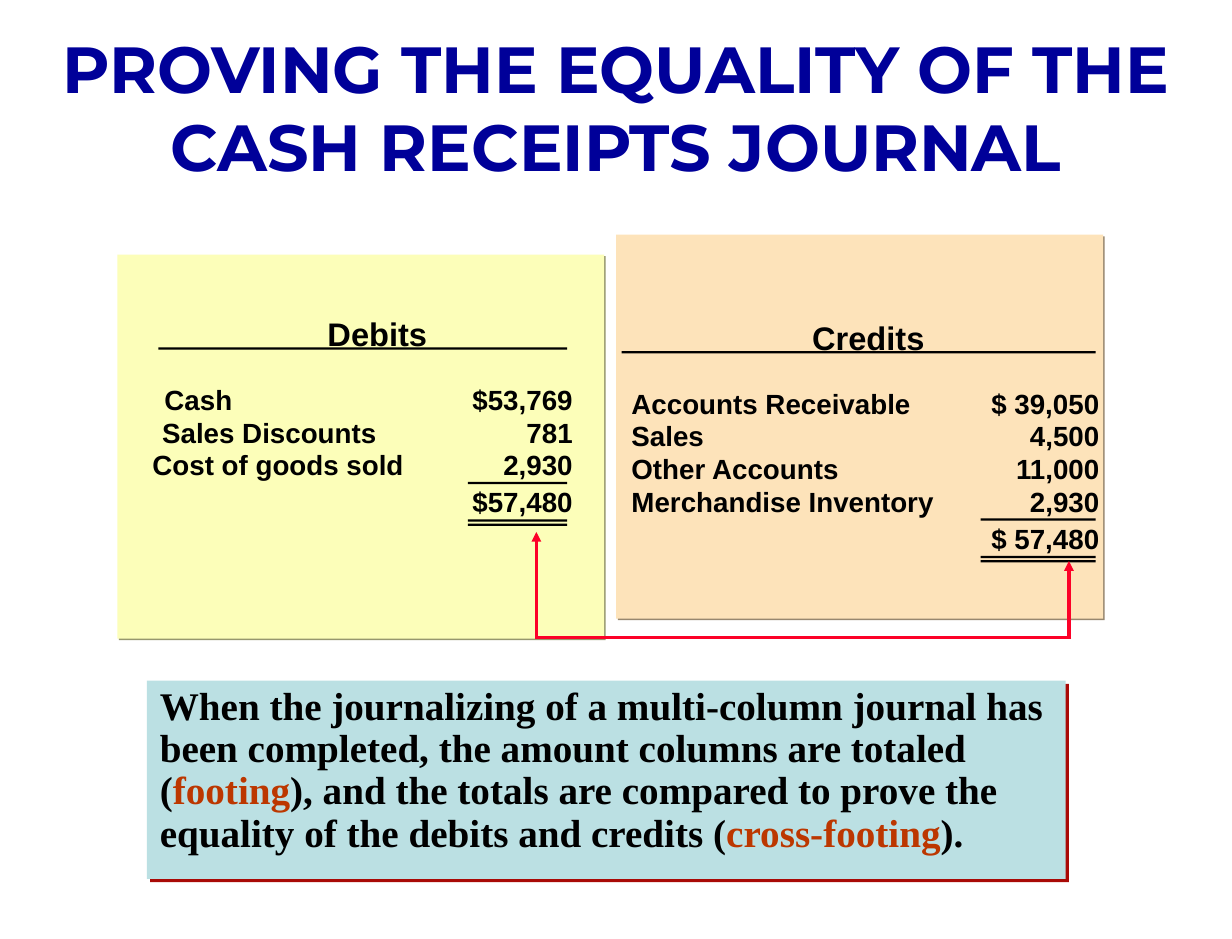
from lxml import etree
from pptx import Presentation
from pptx.dml.color import RGBColor
from pptx.enum.shapes import MSO_CONNECTOR, MSO_SHAPE
from pptx.enum.text import MSO_ANCHOR, PP_ALIGN
from pptx.oxml import parse_xml
from pptx.oxml.ns import nsdecls, qn
from pptx.util import Cm, Pt

RECT, STRAIGHT = MSO_SHAPE.RECTANGLE, MSO_CONNECTOR.STRAIGHT
LEFT, CENTER, RIGHT = PP_ALIGN.LEFT, PP_ALIGN.CENTER, PP_ALIGN.RIGHT
TOP = MSO_ANCHOR.TOP

THEME = {
    "title": ("Montserrat", 40, "000099"),
    "heading": ("Arial", 20, "000000"),
    "entry": ("Arial", 17, "000000"),
    "body": ("Times New Roman", 24, "000000"),
    "term": ("Times New Roman", 24, "BC3700"),
    "rule": "000000",
    "arrow": "FC0128",
    "note_fill": "BBE0E3",
    "note_shadow": "A90A06",
}


def style(font, name):
    font.name, size, color = THEME[name]
    font.size, font.bold = Pt(size), True
    font.color.rgb = RGBColor.from_string(color)


def paint(sp, fill, shadow=None, dist=0):
    """Fill without outline, with an optional hard shadow to the lower right."""
    sp.fill.solid()
    sp.fill.fore_color.rgb = RGBColor.from_string(fill)
    sp.line.fill.background()
    sp.shadow.inherit = False
    if shadow:
        sp._element.spPr.find(qn("a:effectLst")).append(parse_xml(
            f'<a:outerShdw {nsdecls("a")} dist="{Pt(dist)}" dir="2700000" algn="ctr" '
            f'rotWithShape="0"><a:srgbClr val="{shadow}"/></a:outerShdw>'))


prs = Presentation()
prs.slide_width, prs.slide_height = Cm(26.67), Cm(20.32)
s = prs.slides.add_slide(prs.slide_layouts[1])

title = s.shapes.title
title.left, title.top, title.width, title.height = Cm(0), Cm(0.48), Cm(26.67), Cm(3.63)
p = title.text_frame.paragraphs[0]
p.text = "PROVING THE EQUALITY OF THE CASH RECEIPTS JOURNAL"
p.alignment = CENTER
style(p.runs[0].font, "title")

# Debit and credit sides of the journal; each entry is label, label x, amount
SIDES = [
    dict(card=(2.54, 5.51), fill="FCFEB9", shadow="96976E",
         heading="Debits", heading_x=7.09, top=6.8,
         rule_x=3.43, total_x=10.13, rule_end=12.28, amount_end=12.4,
         entries=[("Cash", 3.56, "$53,769"), ("Sales Discounts", 3.51, "781"),
                  ("Cost of goods sold", 3.3, "2,930")],
         total="$57,480"),
    dict(card=(13.34, 5.08), fill="FDE3BA", shadow="97876F",
         heading="Credits", heading_x=17.58, top=6.88,
         rule_x=13.46, total_x=21.23, rule_end=23.72, amount_end=23.8,
         entries=[("Accounts Receivable", 13.67, "$ 39,050"), ("Sales", 13.67, "4,500"),
                  ("Other Accounts", 13.67, "11,000"),
                  ("Merchandise Inventory", 13.67, "2,930")],
         total="$ 57,480"),
]
PITCH, AMOUNT_W, LABEL_W = 0.71, 3, 7

for side in SIDES:
    x, y = side["card"]
    card = s.shapes.add_shape(RECT, Cm(x), Cm(y), Cm(10.54), Cm(8.31))
    paint(card, side["fill"], side["shadow"], 1.4)

    top = side["top"]
    first = top + 1.48
    total_y = first + PITCH * (len(side["entries"]) - 1) + 0.8
    amount_x = side["amount_end"] - AMOUNT_W

    texts = [(side["heading"], side["heading_x"], top, 4, LEFT, "heading")]
    for i, (label, label_x, amount) in enumerate(side["entries"]):
        row_y = first + i * PITCH
        texts.append((label, label_x, row_y, LABEL_W, LEFT, "entry"))
        texts.append((amount, amount_x, row_y, AMOUNT_W, RIGHT, "entry"))
    texts.append((side["total"], amount_x, total_y, AMOUNT_W, RIGHT, "entry"))

    for text, x, y, w, align, kind in texts:
        tf = s.shapes.add_textbox(Cm(x), Cm(y), Cm(w), Cm(PITCH)).text_frame
        tf.word_wrap = True
        tf.margin_left = tf.margin_right = tf.margin_top = tf.margin_bottom = 0
        p = tf.paragraphs[0]
        p.text, p.alignment = text, align
        style(p.runs[0].font, kind)
        if text == "2,930" and side["heading"] == "Debits":
            fill = p.runs[0].font._element.find(qn("a:solidFill"))
            fill.addnext(parse_xml(
                f'<a:effectLst {nsdecls("a")}><a:outerShdw dist="{Pt(1.4)}" dir="2700000">'
                '<a:srgbClr val="808080"/></a:outerShdw></a:effectLst>'))

    rules = [(side["rule_x"], top + 0.72)]
    rules += [(side["total_x"], total_y + dy) for dy in (-0.07, 0.74, 0.83)]
    for x, y in rules:
        rule = s.shapes.add_shape(RECT, Cm(x), Cm(y), Cm(side["rule_end"] - x), Cm(0.05))
        paint(rule, THEME["rule"])

# Explanation under both sides
note = s.placeholders[1]
note.left, note.top, note.width, note.height = Cm(3.18), Cm(14.73), Cm(19.89), Cm(4.29)
paint(note, THEME["note_fill"], THEME["note_shadow"], 2.8)
tf = note.text_frame
tf.margin_left = tf.margin_right = Cm(0.28)
tf.vertical_anchor = TOP
p = tf.paragraphs[0]
p.line_spacing, p.space_before = 0.9, Pt(0)
pPr = p._p.get_or_add_pPr()
pPr.set("marL", "0")
pPr.set("indent", "0")
etree.SubElement(pPr, qn("a:buNone"))
for text, kind in [
    ("When the journalizing of a multi-column journal has been completed, "
     "the amount columns are totaled (", "body"),
    ("footing", "term"),
    ("), and the totals are compared to prove the equality of the debits and credits (", "body"),
    ("cross-footing", "term"),
    (").", "body"),
]:
    r = p.add_run()
    r.text = text
    style(r.font, kind)

# Bracket joining the two totals, with arrows pointing up at them
BASE_Y, DEBIT_X, CREDIT_X = 13.79, 11.61, 23.14
for x1, y1, x2, y2, arrow in [
    (CREDIT_X + 0.05, BASE_Y, DEBIT_X - 0.03, BASE_Y, False),
    (CREDIT_X, 12.14, CREDIT_X, BASE_Y, True),
    (DEBIT_X, 11.51, DEBIT_X, BASE_Y, True),
]:
    line = s.shapes.add_connector(STRAIGHT, Cm(x1), Cm(y1), Cm(x2), Cm(y2))
    line.line.color.rgb = RGBColor.from_string(THEME["arrow"])
    line.line.width = Pt(2)
    if arrow:
        etree.SubElement(line.line._get_or_add_ln(), qn("a:headEnd"), type="triangle")
    etree.SubElement(line._element.spPr, qn("a:effectLst"))

prs.save("out.pptx")
